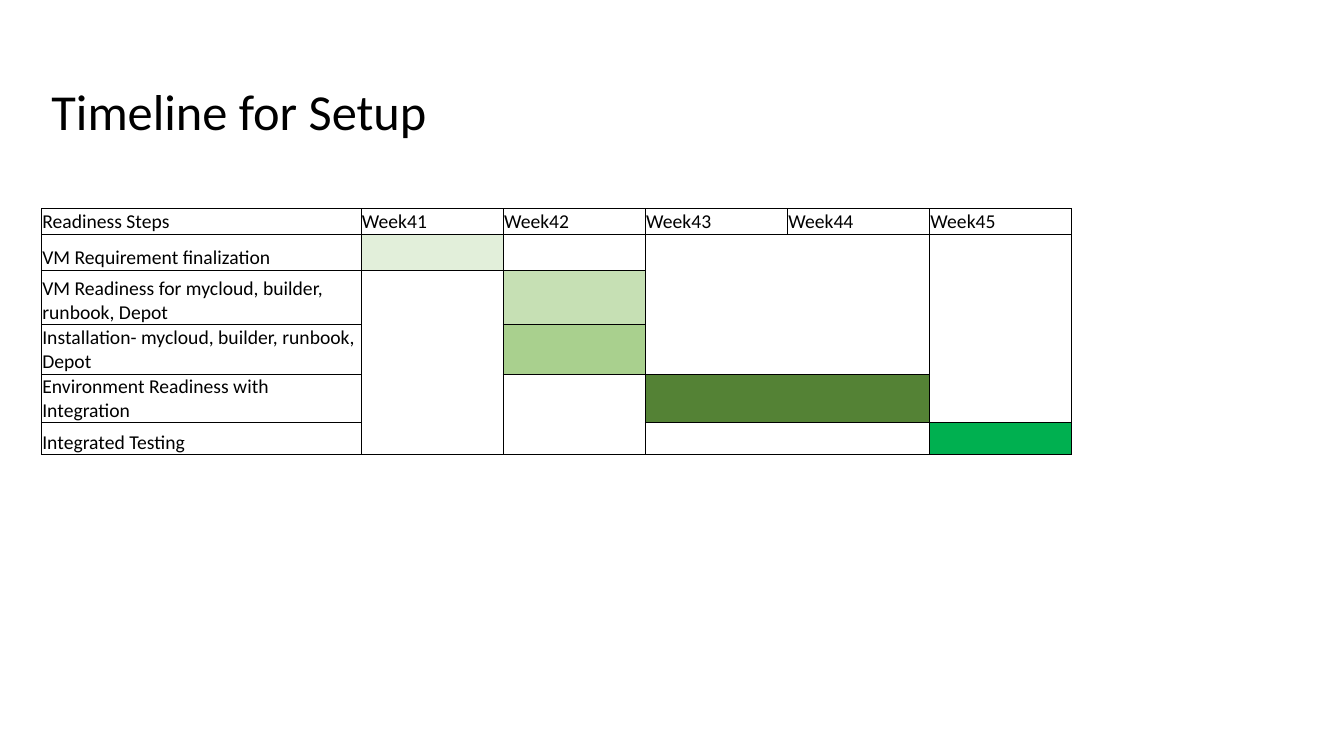
import dataclasses

import lxml.etree
import pptx
import pptx.dml.color
import pptx.enum.text
import pptx.oxml.ns
import pptx.util

Inches = pptx.util.Inches
Pt = pptx.util.Pt
qn = pptx.oxml.ns.qn


@dataclasses.dataclass(frozen=True)
class Theme:
    """Colours, font and sizes of the slide."""
    font: str = "Calibri"
    ink: str = "000000"
    title: int = 36
    body: int = 14
    rule: float = 0.5
    steps: tuple = ("E2EFDA", "C6E0B4", "A9D08E", "548235", "00B050")


THEME = Theme()
WEEKS = ["Readiness Steps"] + [f"Week{week}" for week in range(41, 46)]
STEPS = [
    "VM Requirement finalization",
    "VM Readiness for mycloud, builder, runbook, Depot",
    "Installation- mycloud, builder, runbook, Depot",
    "Environment Readiness with Integration",
    "Integrated Testing",
]
BARS = [(1, 1), (2, 2), (2, 2), (3, 4), (5, 5)]
ZONES = ["abcdef", "ghiJJK", "lMnJJK", "oMpJJK", "qMRssK", "tMRUUv"]
WIDTHS = [3.17] + [1.41] * 5
HEIGHTS = [0.25, 0.36, 0.54, 0.49, 0.48, 0.31]


def style(frame, size):
    """Format every run of a text frame."""
    for par in frame.paragraphs:
        for run in par.runs:
            run.font.name = THEME.font
            run.font.size = Pt(size)
            run.font.color.rgb = pptx.dml.color.RGBColor.from_string(THEME.ink)


def add_title(slide, text):
    """Place and format the title."""
    title = slide.shapes.title
    title.left, title.top = Inches(0.41), Inches(0.67)
    title.width, title.height = Inches(11.5), Inches(0.92)
    frame = title.text_frame
    frame.text = text
    frame.vertical_anchor = pptx.enum.text.MSO_ANCHOR.MIDDLE
    frame.paragraphs[0].alignment = pptx.enum.text.PP_ALIGN.LEFT
    frame.paragraphs[0].line_spacing = 0.9
    style(frame, THEME.title)


def add_edge(cell, side, drawn):
    """Draw or hide one border of a cell."""
    props = cell._tc.get_or_add_tcPr()
    line = lxml.etree.SubElement(props, qn(f"a:ln{side}"))
    line.set("w", str(Pt(THEME.rule)))
    if drawn:
        fill = lxml.etree.SubElement(line, qn("a:solidFill"))
        lxml.etree.SubElement(fill, qn("a:srgbClr")).set("val", THEME.ink)
    else:
        lxml.etree.SubElement(line, qn("a:noFill"))


def zone(row, col):
    """Return the zone letter at a grid place, or None outside the grid."""
    inside = 0 <= row < len(ZONES) and 0 <= col < len(WEEKS)
    return ZONES[row][col] if inside else None


def format_cell(cell, row, col):
    """Set the insets of a cell and its borders between zones."""
    cell.margin_left = cell.margin_right = cell.margin_top = Inches(0.01)
    cell.margin_bottom = 0
    cell.vertical_anchor = pptx.enum.text.MSO_ANCHOR.BOTTOM
    span = cell.span_width if cell.is_merge_origin else 1
    near = {"L": (row, col - 1), "R": (row, col + span),
            "T": (row - 1, col), "B": (row + 1, col)}
    for side, place in near.items():
        add_edge(cell, side, zone(*place) != zone(row, col))
    cell.fill.background()


def add_plan(slide):
    """Add the week table with its coloured bars."""
    frame = slide.shapes.add_table(
        len(HEIGHTS), len(WIDTHS), Inches(0.41), Inches(2.07),
        Inches(sum(WIDTHS)), Inches(sum(HEIGHTS)))
    table = frame.table
    table.first_row = table.horz_banding = False
    for col, width in zip(table.columns, WIDTHS):
        col.width = Inches(width)
    for row, height in zip(table.rows, HEIGHTS):
        row.height = Inches(height)
    for row, (first, last) in enumerate(BARS, 1):
        if last > first:
            table.cell(row, first).merge(table.cell(row, last))
    for row in range(len(HEIGHTS)):
        for col in range(len(WIDTHS)):
            format_cell(table.cell(row, col), row, col)
    texts = [(0, col, text) for col, text in enumerate(WEEKS)]
    texts += [(row, 0, text) for row, text in enumerate(STEPS, 1)]
    for row, col, text in texts:
        cell = table.cell(row, col)
        cell.text_frame.text = text
        style(cell.text_frame, THEME.body)
    for row, ((first, _), shade) in enumerate(zip(BARS, THEME.steps), 1):
        fill = table.cell(row, first).fill
        fill.solid()
        fill.fore_color.rgb = pptx.dml.color.RGBColor.from_string(shade)


def main():
    """Build and save the slide."""
    deck = pptx.Presentation()
    deck.slide_width, deck.slide_height = Inches(13.33), Inches(7.5)
    slide = deck.slides.add_slide(deck.slide_layouts[5])
    add_plan(slide)
    add_title(slide, "Timeline for Setup")
    deck.save("out.pptx")


if __name__ == "__main__":
    main()
